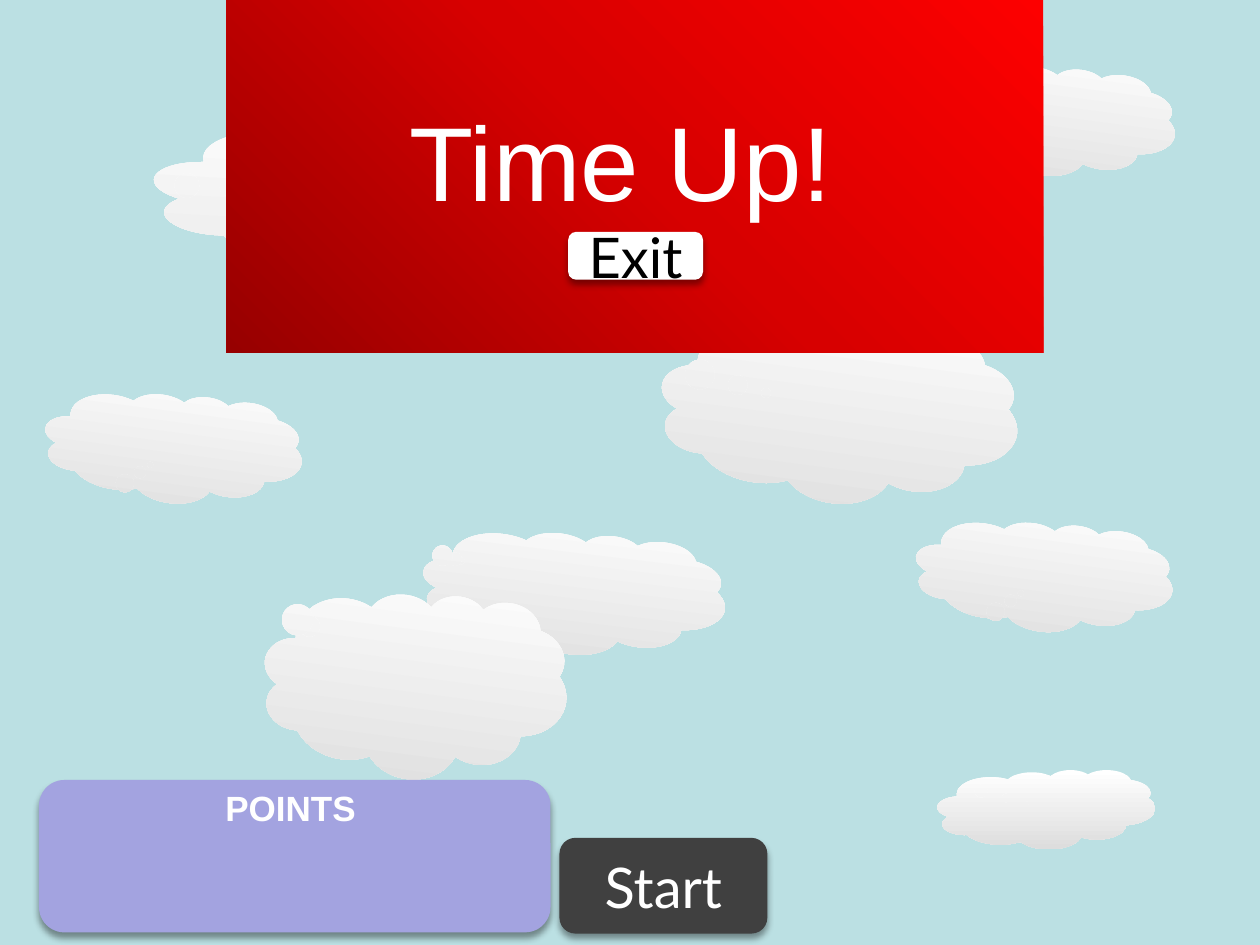
from lxml import etree
from pptx import Presentation
from pptx.dml.color import RGBColor
from pptx.enum import shapes, text
from pptx.oxml import parse_xml
from pptx.oxml.ns import nsdecls, qn
from pptx.util import Inches, Pt

SKY = RGBColor(0xBB, 0xE0, 0xE3)
WHITE = RGBColor(0xFF, 0xFF, 0xFF)
BLACK = RGBColor(0, 0, 0)
CLOUD_GREY = RGBColor(0xDD, 0xDD, 0xDD)
PALE_GREY = RGBColor(0xEA, 0xEA, 0xEA)
LILAC = RGBColor(0xA3, 0xA3, 0xE0)
CHARCOAL = RGBColor(0x40, 0x40, 0x40)
DARK_RED = RGBColor(0x97, 0, 0)
MID_RED = RGBColor(0xD7, 0, 0)
RED = RGBColor(0xFF, 0, 0)


def add_plain(parent, kind, box, fill=None, shadow=False):
    """Add an outline-free shape, with a soft drop shadow if asked for."""
    shape = parent.add_shape(kind, *map(Inches, box))
    shape.line.fill.background()
    shape.shadow.inherit = False
    if fill is not None:
        shape.fill.solid()
        shape.fill.fore_color.rgb = fill
    if shadow:
        effects = shape._element.spPr.find(qn("a:effectLst"))
        outer = etree.SubElement(effects, qn("a:outerShdw"), blurRad=str(Pt(4)),
                                 dist=str(Pt(3)), dir="5400000", rotWithShape="0")
        tint = etree.SubElement(outer, qn("a:srgbClr"), val=str(BLACK))
        etree.SubElement(tint, qn("a:alpha"), val="40000")
    return shape


def write(shape, words, size, font, color, align=text.PP_ALIGN.CENTER):
    shape.text_frame.vertical_anchor = text.MSO_ANCHOR.MIDDLE
    paragraph = shape.text_frame.paragraphs[0]
    paragraph.text = words
    paragraph.alignment = align
    paragraph.font.size = Pt(size)
    paragraph.font.name = font
    paragraph.font.color.rgb = color
    return paragraph


prs = Presentation()
prs.slide_width, prs.slide_height = Inches(10), Inches(7.5)
slide = prs.slides.add_slide(prs.slide_layouts[6])
slide.background.fill.solid()
slide.background.fill.fore_color.rgb = SKY

# Clouds, back to front: box, rotation, callout tail, lower colour
clouds = [
    ((7.44, 6.11, 1.73, 0.63), 0, (-0.09, -0.07), CLOUD_GREY),
    ((7.28, 0.52, 2.05, 0.87), 7.4, (-0.88, 0.5), CLOUD_GREY),
    ((7.26, 4.14, 2.05, 0.87), 7.4, (-0.08, 0.18), CLOUD_GREY),
    ((5.24, 2.57, 2.84, 1.42), 7.4, (-0.21, -0.06), CLOUD_GREY),
    ((1.22, 0.99, 4.24, 1.18), 3.3, (-0.3, 0), PALE_GREY),
    ((0.35, 3.12, 2.05, 0.87), 7.4, (-0.08, 0.18), CLOUD_GREY),
    ((3.35, 4.22, 2.41, 0.97), 6.8, (-0.38, -0.15), CLOUD_GREY),
    ((2.09, 4.69, 2.41, 1.49), 7.4, (-0.36, -0.23), CLOUD_GREY),
]
for box, rotation, tail, lower in clouds:
    cloud = add_plain(slide.shapes, shapes.MSO_SHAPE.CLOUD_CALLOUT, box)
    cloud.rotation = rotation
    cloud.adjustments[0], cloud.adjustments[1] = tail
    cloud.fill.gradient()
    cloud.fill.gradient_angle = 270
    for stop, position, color in zip(cloud.fill.gradient_stops, (0, 1), (WHITE, lower)):
        stop.position = position
        stop.color.rgb = color

# Score board and start button
ROUNDED = shapes.MSO_SHAPE.ROUNDED_RECTANGLE
add_plain(slide.shapes, ROUNDED, (0.31, 6.19, 4.06, 1.21), LILAC, shadow=True)
points = slide.shapes.add_textbox(*map(Inches, (1.69, 6.19, 2.53, 0.44)))
points.text_frame.word_wrap = True
write(points, "POINTS", 20, "Arial", WHITE, text.PP_ALIGN.LEFT).font.bold = True
start = add_plain(slide.shapes, ROUNDED, (4.44, 6.65, 1.65, 0.76), CHARCOAL, shadow=True)
write(start, "Start", 32, "Lato", WHITE)

# Time-up panel with its exit button; the red glows out from the lower left corner
panel = slide.shapes.add_group_shape().shapes
time_up = add_plain(panel, shapes.MSO_SHAPE.RECTANGLE, (1.8, -0.27, 6.48, 3.07))
stops = "".join(f'<a:gs pos="{position}"><a:srgbClr val="{color}"/></a:gs>'
                for position, color in ((0, DARK_RED), (50000, MID_RED), (100000, RED)))
time_up._element.spPr.find(qn("a:prstGeom")).addnext(parse_xml(
    f'<a:gradFill {nsdecls("a")} rotWithShape="1"><a:gsLst>{stops}</a:gsLst>'
    '<a:path path="circle"><a:fillToRect t="100000" r="100000"/></a:path></a:gradFill>'))
write(time_up, "Time Up! ", 60, "Arial", WHITE)
leave = add_plain(panel, ROUNDED, (4.51, 1.84, 1.07, 0.38), WHITE, shadow=True)
write(leave, "Exit", 32, "Lato", BLACK)

prs.save("out.pptx")
